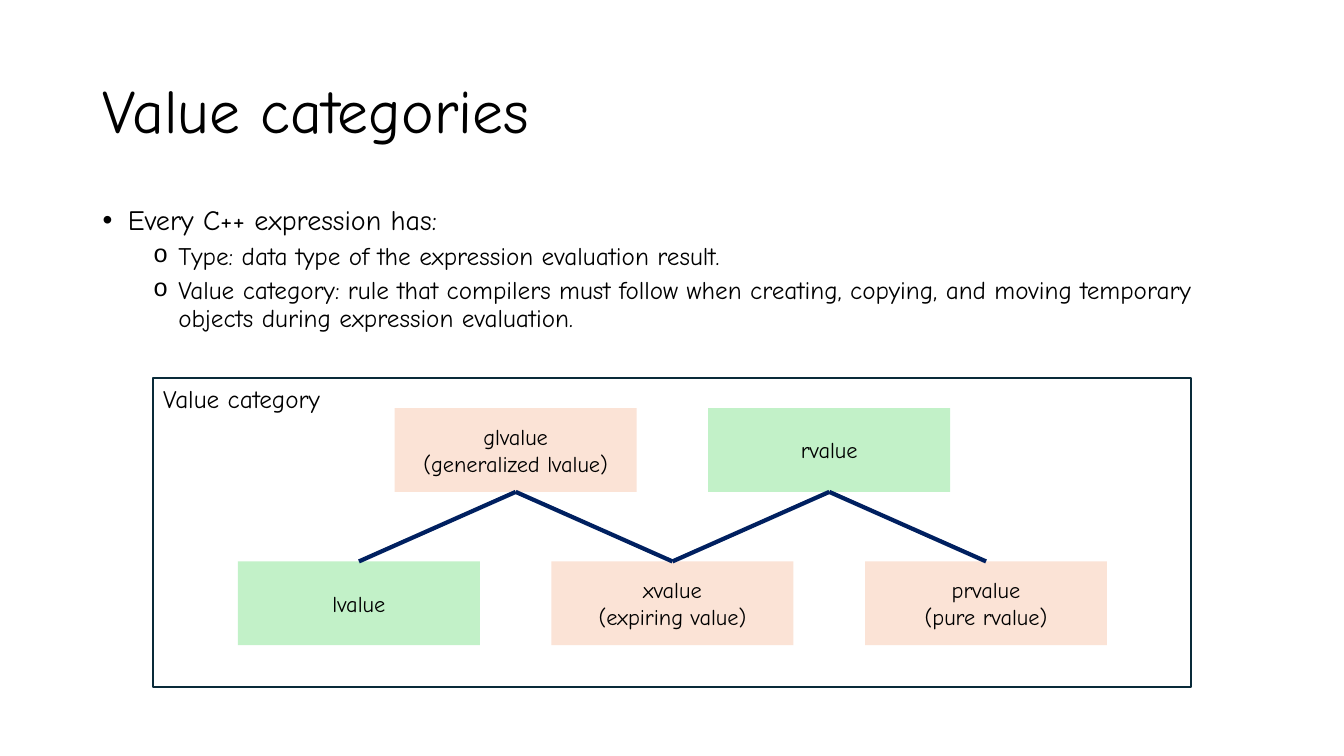
from lxml.etree import SubElement
from pptx import Presentation
from pptx.dml.color import RGBColor
from pptx.enum.shapes import MSO_CONNECTOR, MSO_SHAPE
from pptx.enum.text import MSO_ANCHOR, MSO_AUTO_SIZE, PP_ALIGN
from pptx.oxml.ns import qn
from pptx.util import Inches, Pt

FONT = "Comic Neue"
COLORS = {
    "text": "000000",
    "frame": "092A39",
    "peach": "FBE3D6",
    "green": "C2F1C8",
    "link": "002060",
}
CENTER_X, STEP_X = 3.56, 1.555
BOX_W, BOX_H = 2.4, 0.83
UPPER_Y, LOWER_Y = 4.05, 5.57
CATEGORIES = [
    ("glvalue\n(generalized lvalue)", 1, UPPER_Y, "peach"),
    ("prvalue\n(pure rvalue)", 4, LOWER_Y, "peach"),
    ("xvalue\n(expiring value)", 2, LOWER_Y, "peach"),
    ("lvalue", 0, LOWER_Y, "green"),
    ("rvalue", 3, UPPER_Y, "green"),
]
POINTS = [
    ("Every C++ expression has:", 0),
    ("Type: data type of the expression evaluation result.", 1),
    ("Value category: rule that compilers must follow when creating, copying, "
     "and moving temporary objects during expression evaluation.", 1),
]
LEVELS = [
    {"indent": 0.25, "size": 20, "before": 10, "bullet": "•", "bullet_font": "Arial"},
    {"indent": 0.75, "size": 18, "before": 5, "bullet": "o", "bullet_font": "Courier New"},
]


def rgb(name):
    return RGBColor.from_string(COLORS[name])


def column_x(column):
    return CENTER_X + column * STEP_X


def style(paragraph, size, align=PP_ALIGN.LEFT):
    paragraph.alignment = align
    paragraph.font.name = FONT
    paragraph.font.size = Pt(size)
    paragraph.font.color.rgb = rgb("text")


def add_title(slide, text):
    title = slide.shapes.title
    title.left, title.top = Inches(0.92), Inches(0.4)
    title.width, title.height = Inches(11.5), Inches(1.45)
    frame = title.text_frame
    frame.text = text
    frame.auto_size = MSO_AUTO_SIZE.NONE
    frame.vertical_anchor = MSO_ANCHOR.MIDDLE
    frame.paragraphs[0].line_spacing = 0.9
    style(frame.paragraphs[0], 44)


def set_bullet(paragraph, level):
    props = paragraph._p.get_or_add_pPr()
    props.set("marL", str(Inches(level["indent"])))
    props.set("indent", str(Inches(-0.25)))
    SubElement(props, qn("a:buFont"), typeface=level["bullet_font"])
    SubElement(props, qn("a:buChar"), char=level["bullet"])


def add_points(slide, points):
    body = slide.shapes.add_textbox(Inches(0.92), Inches(2), Inches(11.5), Inches(1.45))
    frame = body.text_frame
    frame.word_wrap = True
    frame.text = "\n".join(text for text, _ in points)
    for paragraph, (_, depth) in zip(frame.paragraphs, points):
        level = LEVELS[depth]
        paragraph.level = depth
        set_bullet(paragraph, level)
        paragraph.line_spacing = 0.9
        paragraph.space_before = Pt(level["before"])
        style(paragraph, level["size"])


def add_box(shapes, left, top, width, height, text, size, align, anchor):
    box = shapes.add_shape(MSO_SHAPE.RECTANGLE, Inches(left), Inches(top),
                           Inches(width), Inches(height))
    box.shadow.inherit = False
    frame = box.text_frame
    frame.text = text
    frame.word_wrap = True
    frame.vertical_anchor = anchor
    for paragraph in frame.paragraphs:
        style(paragraph, size, align)
    return box


def add_frame(shapes):
    border = add_box(shapes, 1.52, 3.75, 10.29, 3.07, "Value category", 18,
                     PP_ALIGN.LEFT, MSO_ANCHOR.TOP)
    border.fill.background()
    border.line.color.rgb = rgb("frame")
    border.line.width = Pt(1.5)


def add_category(shapes, text, column, top, color):
    category = add_box(shapes, column_x(column) - BOX_W / 2, top, BOX_W, BOX_H, text, 16,
                       PP_ALIGN.CENTER, MSO_ANCHOR.MIDDLE)
    category.fill.solid()
    category.fill.fore_color.rgb = rgb(color)
    category.line.fill.background()


def add_link(shapes, upper, lower):
    link = shapes.add_connector(MSO_CONNECTOR.STRAIGHT,
                                Inches(column_x(upper)), Inches(UPPER_Y + BOX_H),
                                Inches(column_x(lower)), Inches(LOWER_Y))
    link.line.color.rgb = rgb("link")
    link.line.width = Pt(3)
    SubElement(link._element.spPr, qn("a:effectLst"))


def main():
    deck = Presentation()
    deck.slide_width, deck.slide_height = Inches(13.33), Inches(7.5)
    slide = deck.slides.add_slide(deck.slide_layouts[5])
    add_title(slide, "Value categories")
    add_points(slide, POINTS)

    diagram = slide.shapes.add_group_shape().shapes
    add_frame(diagram)
    for category in CATEGORIES:
        add_category(diagram, *category)
    for upper in (1, 3):
        for lower in (upper - 1, upper + 1):
            add_link(diagram, upper, lower)
    deck.save("out.pptx")


if __name__ == "__main__":
    main()
